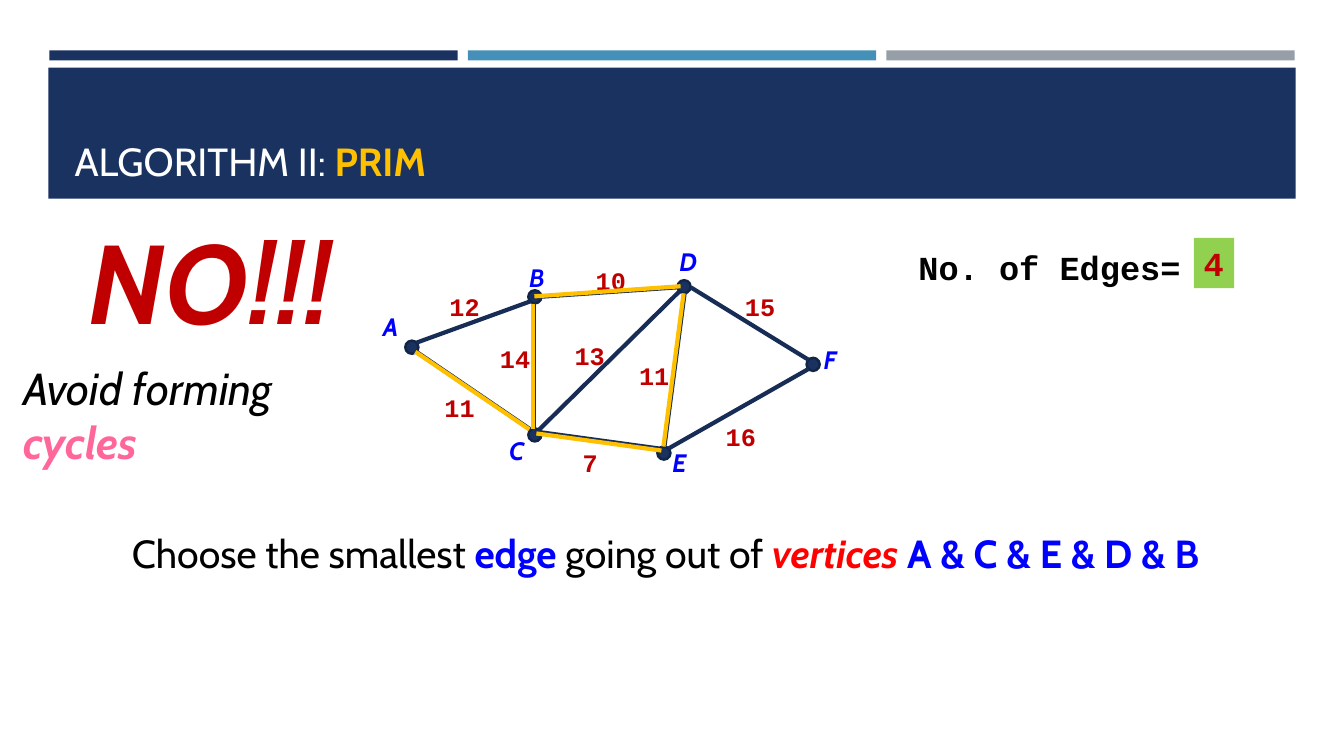
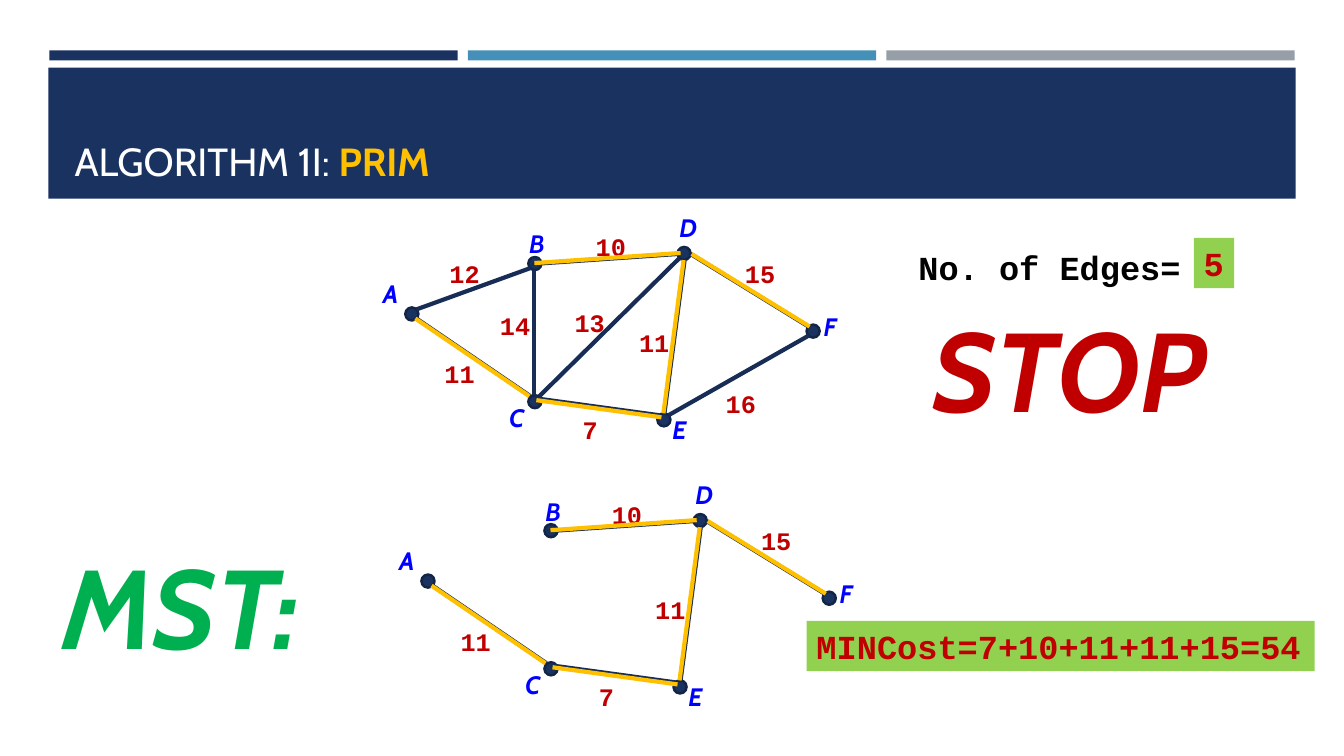
from lxml.etree import SubElement
from pptx import Presentation
from pptx.dml.color import RGBColor
from pptx.enum.shapes import MSO_CONNECTOR, MSO_SHAPE
from pptx.enum.text import MSO_ANCHOR, MSO_AUTO_SIZE, PP_ALIGN
from pptx.oxml.ns import qn
from pptx.util import Inches, Pt

COLOURS = {
    "navy": "1A3260", "sky": "4590B8", "grey": "969FA7", "white": "FFFFFF",
    "black": "000000", "gold": "FFC000", "vertex": "132547", "edge": "172D56",
    "blue": "0000FF", "crimson": "C00000", "red": "FF0000", "pink": "FF6699",
    "green": "00B050", "lime": "92D050",
}
PAINT = {name: RGBColor.from_string(value) for name, value in COLOURS.items()}
SANS, MONO = "Cabin", "Courier New"

VERTICES = {
    "A": ((4.02, 3.38), (3.70, 3.04, 0.36)),
    "B": ((5.24, 2.88), (5.15, 2.55, 0.36)),
    "C": ((5.24, 4.25), (4.95, 4.27, 0.38)),
    "D": ((6.72, 2.78), (6.64, 2.39, 0.40)),
    "E": ((6.52, 4.43), (6.57, 4.39, 0.36)),
    "F": ((8.00, 3.55), (8.07, 3.37, 0.33)),
}
EDGES = {
    "AB": ((5.26, 2.99), (4.13, 3.40), "12", (4.36, 2.84, 0.50)),
    "AC": ((5.26, 4.26), (4.13, 3.49), "11", (4.31, 3.84, 0.50)),
    "BC": ((5.30, 3.01), (5.30, 4.25), "14", (4.86, 3.36, 0.50)),
    "BD": ((6.72, 2.85), (5.27, 2.95), "10", (5.81, 2.58, 0.50)),
    "CD": ((6.74, 2.89), (5.35, 4.26), "13", (5.60, 3.33, 0.50)),
    "CE": ((6.54, 4.45), (5.30, 4.28), "7", (5.68, 4.39, 0.35)),
    "DE": ((6.79, 2.91), (6.59, 4.43), "11", (6.24, 3.53, 0.50)),
    "DF": ((8.02, 3.57), (6.85, 2.85), "15", (7.29, 2.84, 0.50)),
    "EF": ((8.02, 3.66), (6.63, 4.45), "16", (7.10, 4.13, 0.50)),
}
CHOSEN_SHIFT = {
    "AC": (-0.01, 0), "BC": (-0.01, 0.01), "BD": (0.03, -0.01),
    "CE": (0.02, 0.02), "DE": (-0.01, 0), "DF": (0.01, 0),
}
TREE = ["AC", "CE", "DE", "BD", "DF"]

LESSONS = [
    {
        "heading": "ALGORITHM II: ",
        "graphs": [(0, 0, list(EDGES), ["AC", "CE", "DE", "BD", "BC"])],
        "edge_count": "4",
        "remarks": [
            ((1.21, 5.20, 11.47, 0.57), SANS, 28, None, False, [
                ("Choose the smallest ", "black", ""), ("edge", "blue", "b"),
                (" going out of ", "black", ""), ("vertices ", "red", "bi"),
                ("A & C & E & D & B", "blue", "b")]),
            ((0.78, 2.06, 2.89, 1.45), SANS, 80, None, False,
             [("NO!!!", "crimson", "bi")]),
            ((0.13, 3.53, 3.78, 0.64), SANS, 32, None, True,
             [("Avoid forming ", "black", "i"), ("cycles", "pink", "bi")]),
        ],
    },
    {
        "heading": "ALGORITHM 1I: ",
        "graphs": [(0, -0.33, list(EDGES), TREE), (0.16, 2.32, TREE, TREE)],
        "edge_count": "5",
        "remarks": [
            ((9.15, 2.93, 3.02, 1.45), SANS, 80, None, False,
             [("STOP", "crimson", "bi")]),
            ((0.52, 5.28, 2.81, 1.45), SANS, 80, None, False,
             [("MST:", "green", "bi")]),
            ((8.00, 6.16, 5.04, 0.50), MONO, 24, "lime", False,
             [("MINCost=7+10+11+11+15=54", "crimson", "b")]),
        ],
    },
]


def write(holder, font, size, pieces, wrap=False):
    frame = holder.text_frame
    frame.word_wrap = wrap
    frame.auto_size = MSO_AUTO_SIZE.NONE if wrap else MSO_AUTO_SIZE.SHAPE_TO_FIT_TEXT
    line = frame.paragraphs[0]
    line.alignment = PP_ALIGN.LEFT
    for words, colour, style in pieces:
        run = line.add_run()
        run.text = words
        run.font.name = font
        run.font.size = Pt(size)
        run.font.bold = "b" in style
        run.font.italic = "i" in style
        run.font.color.rgb = PAINT[colour]


def join(slide, start, end, shift, colour):
    points = [Inches(place + move) for point in (start, end)
              for place, move in zip(point, shift)]
    link = slide.shapes.add_connector(MSO_CONNECTOR.STRAIGHT, *points)
    link.line.color.rgb = PAINT[colour]
    link.line.width = Pt(3)
    SubElement(link._element.spPr, qn("a:effectLst"))


deck = Presentation()
deck.slide_width, deck.slide_height = Inches(13.33), Inches(7.5)
layout = deck.slide_layouts[5]
heading_area = layout.placeholders[0]
heading_area.left, heading_area.top = Inches(0.64), Inches(0.77)
heading_area.width, heading_area.height = Inches(12.06), Inches(1.11)
heading_area.text_frame.vertical_anchor = MSO_ANCHOR.BOTTOM
slides = [deck.slides.add_slide(layout) for lesson in LESSONS]

bands = [((0.49 + 4.15 * column, 0.5, 4.05, 0.1), colour)
         for column, colour in enumerate(["navy", "sky", "grey"])]
bands.append(((0.48, 0.67, 12.37, 1.3), "navy"))
for area, colour in bands:
    band = slides[0].shapes.add_shape(MSO_SHAPE.RECTANGLE, *map(Inches, area))
    band.shadow.inherit = False
    band.fill.solid()
    band.fill.fore_color.rgb = PAINT[colour]
    band.line.fill.background()
    layout.shapes._spTree.insert(2, band._element)

for slide, lesson in zip(slides, LESSONS):
    write(slide.shapes.title, SANS, 28,
          [(lesson["heading"], "white", ""), ("PRIM", "gold", "b")], wrap=True)

    for dx, dy, shown, chosen in lesson["graphs"]:
        for (x, y), _ in VERTICES.values():
            vertex = slide.shapes.add_shape(
                MSO_SHAPE.OVAL, Inches(x + dx), Inches(y + dy), Inches(0.13), Inches(0.13))
            vertex.shadow.inherit = False
            vertex.fill.solid()
            vertex.fill.fore_color.rgb = PAINT["navy"]
            vertex.line.color.rgb = PAINT["vertex"]
            vertex.line.width = Pt(1.75)

        for edge in shown:
            join(slide, *EDGES[edge][:2], (dx, dy), "edge")

        labels = [(name, area, SANS, "blue", "bi") for name, (_, area) in VERTICES.items()]
        labels += [(*EDGES[edge][2:], MONO, "crimson", "b") for edge in shown]
        for words, (x, y, width), font, colour, style in labels:
            label = slide.shapes.add_textbox(
                Inches(x + dx), Inches(y + dy), Inches(width), Inches(0.4))
            write(label, font, 18, [(words, colour, style)])

        for edge in chosen:
            nudge_x, nudge_y = CHOSEN_SHIFT[edge]
            join(slide, *EDGES[edge][:2], (dx + nudge_x, dy + nudge_y), "gold")

    counter = [
        ((9.01, 2.40, 2.82, 0.50), MONO, 24, None, False, [("No. of Edges=", "black", "b")]),
        ((11.84, 2.36, 0.40, 0.50), MONO, 24, "lime", False,
         [(lesson["edge_count"], "crimson", "b")]),
    ]
    for area, font, size, backing, wrap, pieces in counter + lesson["remarks"]:
        remark = slide.shapes.add_textbox(*map(Inches, area))
        if backing:
            remark.fill.solid()
            remark.fill.fore_color.rgb = PAINT[backing]
        write(remark, font, size, pieces, wrap)

deck.save("out.pptx")
